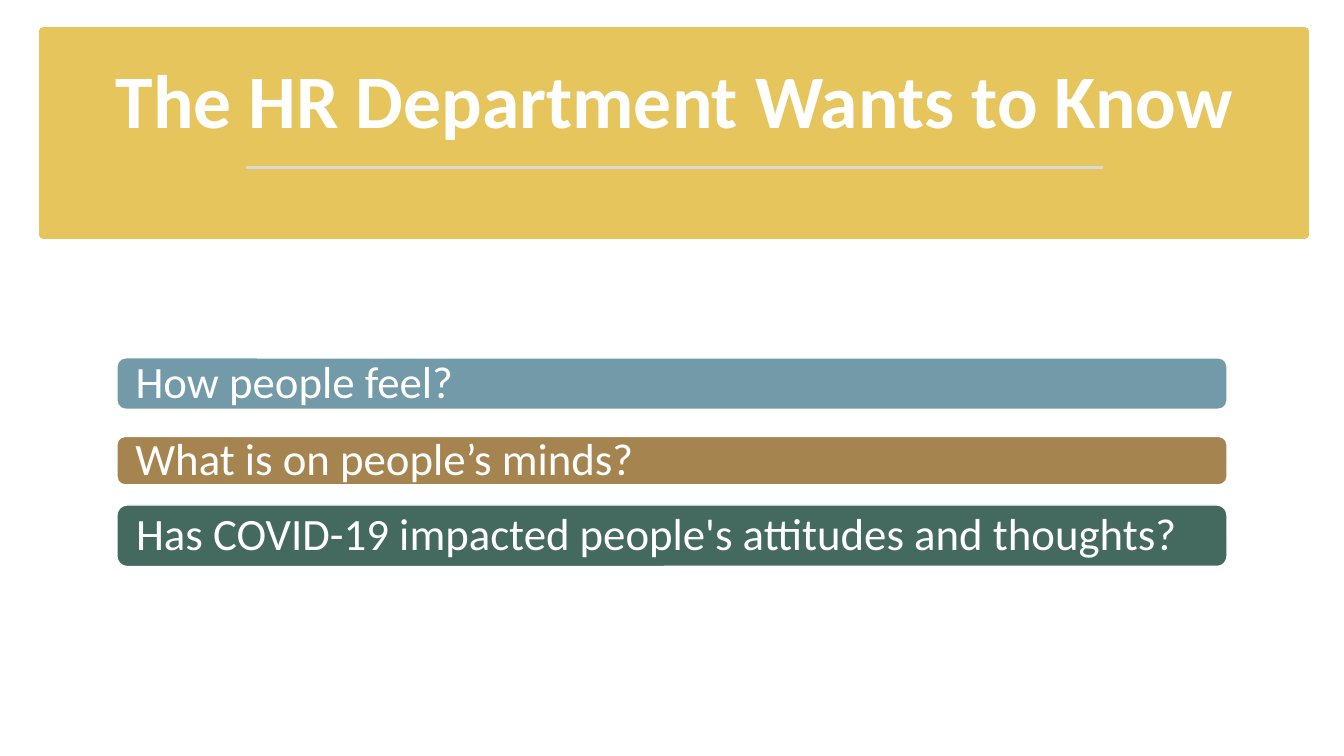
from dataclasses import dataclass

from lxml import etree
from pptx import Presentation
from pptx.dml.color import RGBColor
from pptx.enum.shapes import MSO_CONNECTOR, MSO_SHAPE
from pptx.enum.text import MSO_ANCHOR, PP_ALIGN
from pptx.oxml.ns import qn
from pptx.shapes.autoshape import Shape
from pptx.slide import Slide
from pptx.text.text import TextFrame
from pptx.util import Inches, Pt

RECTANGLE = MSO_SHAPE.RECTANGLE
ROUNDED_RECTANGLE = MSO_SHAPE.ROUNDED_RECTANGLE
STRAIGHT = MSO_CONNECTOR.STRAIGHT
MIDDLE = MSO_ANCHOR.MIDDLE
BOTTOM = MSO_ANCHOR.BOTTOM
LEFT = PP_ALIGN.LEFT
CENTER = PP_ALIGN.CENTER

WHITE = RGBColor(0xFF, 0xFF, 0xFF)
YELLOW = RGBColor(0xE7, 0xC5, 0x5D)
GRAY = RGBColor(0xD9, 0xD9, 0xD9)
BLUE = RGBColor(0x72, 0x9A, 0xA8)
BROWN = RGBColor(0xA6, 0x84, 0x4F)
GREEN = RGBColor(0x44, 0x69, 0x5E)

FONT = "Calibri"
BAR_LEFT = 1.16
BAR_WIDTH = 11.01


@dataclass(frozen=True)
class QuestionBar:
    text: str
    top: float
    height: float
    color: RGBColor


QUESTIONS = [
    QuestionBar("How people feel?", 3.55, 0.51, BLUE),
    QuestionBar("What is on people’s minds?", 4.33, 0.48, BROWN),
    QuestionBar("Has COVID-19 impacted people's attitudes and thoughts?", 5.01, 0.61, GREEN),
]


def add_block(slide: Slide, preset: MSO_SHAPE, left: float, top: float, width: float,
              height: float, fill: RGBColor, line: RGBColor, line_width: float) -> Shape:
    shape = slide.shapes.add_shape(
        preset, Inches(left), Inches(top), Inches(width), Inches(height))
    shape.shadow.inherit = False
    shape.fill.solid()
    shape.fill.fore_color.rgb = fill
    shape.line.color.rgb = line
    shape.line.width = Pt(line_width)
    return shape


def write_text(text_frame: TextFrame, text: str, size: int, bold: bool,
               alignment: PP_ALIGN, anchor: MSO_ANCHOR) -> None:
    text_frame.text = text
    text_frame.word_wrap = True
    text_frame.vertical_anchor = anchor
    paragraph = text_frame.paragraphs[0]
    paragraph.alignment = alignment
    paragraph.line_spacing = 0.9
    font = paragraph.runs[0].font
    font.name = FONT
    font.size = Pt(size)
    font.bold = bold
    font.color.rgb = WHITE


def add_header(slide: Slide) -> None:
    add_block(slide, RECTANGLE, 0.43, 0.31, 12.51, 2.02, YELLOW, YELLOW, 6)
    title = slide.shapes.add_textbox(Inches(0.6), Inches(0.47), Inches(12.18), Inches(1.02))
    write_text(title.text_frame, "The HR Department Wants to Know", 54, True, CENTER, BOTTOM)
    rule = slide.shapes.add_connector(
        STRAIGHT, Inches(2.44), Inches(1.66), Inches(10.94), Inches(1.66))
    rule.line.color.rgb = GRAY
    rule.line.width = Pt(1.75)
    etree.SubElement(rule.line._get_or_add_ln().getparent(), qn("a:effectLst"))


def add_question(slide: Slide, question: QuestionBar) -> None:
    bar = add_block(slide, ROUNDED_RECTANGLE, BAR_LEFT, question.top, BAR_WIDTH,
                    question.height, question.color, WHITE, 1)
    text_frame = bar.text_frame
    text_frame.margin_left = text_frame.margin_right = Inches(0.16)
    text_frame.margin_top = text_frame.margin_bottom = Inches(0)
    write_text(text_frame, question.text, 32, False, LEFT, MIDDLE)


def main() -> None:
    presentation = Presentation()
    presentation.slide_width = Inches(13.33)
    presentation.slide_height = Inches(7.5)
    slide = presentation.slides.add_slide(presentation.slide_layouts[6])
    add_header(slide)
    for question in QUESTIONS:
        add_question(slide, question)
    presentation.save("out.pptx")


if __name__ == "__main__":
    main()
